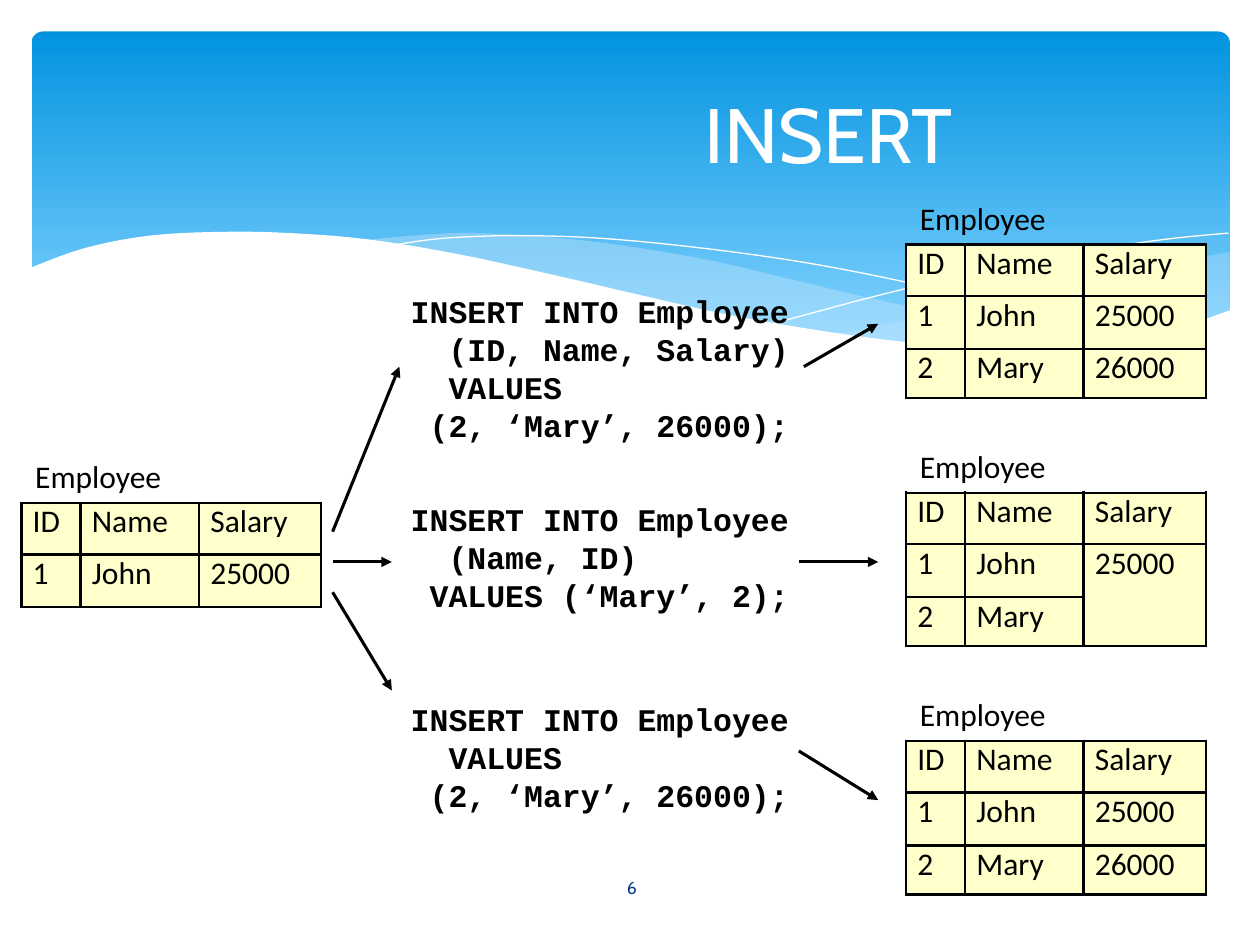
from lxml.etree import SubElement
from pptx import Presentation
from pptx.dml.color import RGBColor
from pptx.enum.shapes import MSO_CONNECTOR as Link, MSO_SHAPE as Preset
from pptx.enum.text import MSO_ANCHOR as Anchor, PP_ALIGN as Align
from pptx.oxml.ns import qn
from pptx.util import Inches, Pt

WIDTH, HEIGHT = 10, 7.5
BLACK, WHITE, CREAM, MIST, NAVY = "000000", "FFFFFF", "FFFFCC", "C6E7FC", "073E87"
# Grid: code and result columns, and the step between result tables
CODE_LEFT, RESULT_LEFT = 0.325 * WIDTH, 7.19
RESULT_TOP, RESULT_STEP = 1.94, 1.97
COLUMN_WIDTHS, ROW_HEIGHTS = (0.47, 0.94, 0.97), (0.41, 0.42, 0.39)
PLAIN = {"size": Pt(18), "name": "Calibri", "bold": False}
CODE = {"size": Pt(18), "name": "Courier New", "bold": True}
HEADER, JOHN = ("ID", "Name", "Salary"), ("1", "John", "25000")

# Knots of the waves in the banner
RIGHT_WAVE = [(9.76, 2), (9.21, 2.1), (8.61, 2.23), (7.79, 2.42), (7.06, 2.57), (6.61, 2.65)]
RIGHT_BELLY = [(6.61, 2.65), (7.32, 2.74), (8.03, 2.78), (8.72, 2.74), (9.28, 2.63), (9.76, 2.47)]
MIDDLE_TOP = [(8.93, 2.73), (8.07, 2.6), (7.06, 2.4), (6.29, 2.22), (5.55, 2.05),
              (4.65, 1.91), (3.8, 1.85), (3.28, 1.87), (2.86, 1.91)]
MIDDLE_BELLY = [(2.86, 1.91), (3.62, 2.03), (4.49, 2.22), (5.3, 2.4), (6.18, 2.58),
                (6.95, 2.7), (7.61, 2.77), (8.28, 2.78), (8.93, 2.73)]
LONG_LINE = [(3.09, 1.95), (3.53, 1.89), (4.16, 1.87), (4.89, 1.9), (5.82, 2),
             (6.65, 2.13), (7.6, 2.33), (8.31, 2.51), (9.07, 2.72)]
SHORT_LINE = [(6.13, 2.57), (6.95, 2.35), (7.76, 2.16), (8.66, 1.99), (9.24, 1.9), (9.75, 1.85)]
PAPER_EDGE = [(9.77, 2.46), (9.2, 2.65), (8.63, 2.74), (8.09, 2.77), (7.44, 2.74),
              (6.68, 2.65), (5.79, 2.5), (5.03, 2.33), (4.47, 2.2), (3.65, 2.02),
              (2.92, 1.9), (2.3, 1.85), (1.77, 1.84), (1.19, 1.87), (0.67, 1.97), (0.23, 2.13)]


def color(value):
    return RGBColor.from_string(value)


def paint(fill, value, opacity=100):
    fill.solid()
    fill.fore_color.rgb = color(value)
    if opacity < 100:
        for node in fill.fore_color._xFill.iter(qn("a:srgbClr")):
            SubElement(node, qn("a:alpha"), val=str(opacity * 1000))


def set_values(target, values):
    for name, value in values.items():
        setattr(target, name, value)


def smooth(knots, steps=5):
    """Catmull-Rom curve through the knots."""
    ends = [knots[0], *knots, knots[-1]]
    points = [knots[0]]
    for a, b, c, d in zip(ends, ends[1:], ends[2:], ends[3:]):
        for t in (step / steps for step in range(1, steps + 1)):
            points.append(tuple(
                (2 * q + (r - p) * t + (2 * p - 5 * q + 4 * r - s) * t ** 2
                 + (3 * q - p - 3 * r + s) * t ** 3) / 2
                for p, q, r, s in zip(a, b, c, d)))
    return points


def add_outline(slide, points, fill=None, opacity=100):
    points = [(Inches(x), Inches(y)) for x, y in points]
    builder = slide.shapes.build_freeform(*points[0], scale=1.0)
    builder.add_line_segments(points[1:], close=fill is not None)
    outline = builder.convert_to_shape()
    outline.shadow.inherit = False
    if fill:
        paint(outline.fill, fill, opacity)
        outline.line.fill.background()
    else:
        outline.fill.background()
        outline.line.color.rgb = color(WHITE)
        outline.line.width = Pt(0.75)


def add_banner(slide):
    panel = slide.shapes.add_shape(
        Preset.ROUNDED_RECTANGLE, *map(Inches, (0.25, 0.25, 9.51, 2.7)))
    panel.adjustments[0] = 0.034
    panel.shadow.inherit = False
    panel.line.fill.background()
    panel.fill.gradient()
    panel.fill.gradient_angle = 270
    for stop, (position, value) in zip(panel.fill.gradient_stops,
                                       ((0, "0293E0"), (0.9, "81D2FE"))):
        stop.position = position
        stop.color.rgb = color(value)
    add_outline(slide, smooth(RIGHT_WAVE) + smooth(RIGHT_BELLY), MIST, 29)
    add_outline(slide, smooth(MIDDLE_TOP) + smooth(MIDDLE_BELLY), MIST, 40)
    for line in (LONG_LINE, SHORT_LINE):
        add_outline(slide, smooth(line))
    add_outline(slide, smooth(PAPER_EDGE) + [(0.23, 3.29), (9.77, 3.29)], WHITE)


def format_frame(frame, anchor=Anchor.TOP, left=0):
    set_values(frame, {"word_wrap": True, "vertical_anchor": anchor,
                       "margin_left": Inches(left), "margin_right": 0,
                       "margin_top": 0, "margin_bottom": 0})


def write(para, text, font, value=BLACK, align=Align.LEFT):
    para.alignment = align
    span = para.add_run()
    span.text = text
    set_values(span.font, font)
    span.font.color.rgb = color(value)


def add_text(slide, place, text, font, **style):
    box = slide.shapes.add_textbox(*map(Inches, place))
    anchor = style.pop("anchor", Anchor.TOP)
    format_frame(box.text_frame, anchor)
    for index, line in enumerate(text.split("\n")):
        para = box.text_frame.add_paragraph() if index else box.text_frame.paragraphs[0]
        write(para, line, font, **style)
    return box


def add_code(slide, top, text):
    box = add_text(slide, (CODE_LEFT, top, 3.05, 0.93), text, CODE)
    for para, indent in zip(box.text_frame.paragraphs, (-0.15, 0)):
        para.line_spacing = Pt(21.6)
        properties = para._p.get_or_add_pPr()
        properties.set("marL", str(Inches(0.16)))
        properties.set("indent", str(Inches(indent)))


def add_employees(slide, left, top, rows):
    add_text(slide, (left + 0.11, top - 0.36, 1.03, 0.33), "Employee", PLAIN)
    heights = ROW_HEIGHTS[:len(rows)]
    table = slide.shapes.add_table(
        len(rows), len(COLUMN_WIDTHS), Inches(left), Inches(top),
        Inches(sum(COLUMN_WIDTHS)), Inches(sum(heights))).table
    for column, width in zip(table.columns, COLUMN_WIDTHS):
        column.width = Inches(width)
    for row, height, texts in zip(table.rows, heights, rows):
        row.height = Inches(height)
        for cell, text in zip(row.cells, texts):
            format_frame(cell, left=0.09)
            add_borders(cell)
            paint(cell.fill, CREAM)
            if text:
                write(cell.text_frame.paragraphs[0], text, PLAIN)
    # A missing last value joins the cell above it
    if not rows[-1][-1]:
        last = len(rows) - 1
        table.cell(last - 1, 2).merge(table.cell(last, 2))


def add_borders(cell):
    properties = cell._tc.get_or_add_tcPr()
    for side in ("lnL", "lnR", "lnT", "lnB"):
        line = SubElement(properties, qn("a:" + side), w=str(Pt(1.5)))
        SubElement(SubElement(line, qn("a:solidFill")), qn("a:srgbClr"), val=BLACK)


def add_arrow(slide, *ends):
    arrow = slide.shapes.add_connector(Link.STRAIGHT, *map(Inches, ends))
    arrow.line.color.rgb = color(BLACK)
    arrow.line.width = Pt(1.75)
    SubElement(arrow.get_or_add_ln(), qn("a:tailEnd"), type="triangle")
    SubElement(arrow.element.spPr, qn("a:effectLst"))


def add_title(slide, text):
    title = slide.shapes.title
    set_values(title, dict(zip(("left", "top", "width", "height"),
                               map(Inches, (3.66, 0.37, 5.84, 1.37)))))
    format_frame(title.text_frame, Anchor.MIDDLE)
    write(title.text_frame.paragraphs[0], text,
          {"size": Pt(44), "name": "Cabin"}, WHITE, Align.CENTER)
    # Bring the title in front of the banner
    title.element.getparent().append(title.element)


def main():
    deck = Presentation()
    deck.slide_width, deck.slide_height = Inches(WIDTH), Inches(HEIGHT)
    page = deck.slides.add_slide(deck.slide_layouts[5])
    add_banner(page)
    add_title(page, "INSERT")
    add_text(page, (4.38, 6.84, 1.27, 0.4), "6", {"size": Pt(10), "name": "Cabin"},
             value=NAVY, align=Align.CENTER, anchor=Anchor.MIDDLE)

    # Statements
    for top, text in (
            (2.32, "INSERT INTO Employee  (ID, Name, Salary)  VALUES\n(2, ‘Mary’, 26000);"),
            (3.97, "INSERT INTO Employee  (Name, ID)\nVALUES (‘Mary’, 2);"),
            (5.56, "INSERT INTO Employee  VALUES\n(2, ‘Mary’, 26000);")):
        add_code(page, top, text)

    # Table before, and one result for each statement
    add_employees(page, 0.17, 3.99, (HEADER, JOHN))
    for index, salary in enumerate(("26000", "", "26000")):
        add_employees(page, RESULT_LEFT, RESULT_TOP + index * RESULT_STEP,
                      (HEADER, JOHN, ("2", "Mary", salary)))

    for ends in ((2.64, 4.22, 3.17, 2.91), (2.64, 4.46, 3.11, 4.46), (2.64, 4.7, 3.11, 5.48),
                 (6.38, 2.91, 6.97, 2.57), (6.34, 4.46, 6.97, 4.46), (6.34, 5.96, 6.97, 6.35)):
        add_arrow(page, *ends)
    deck.save("out.pptx")


main()
